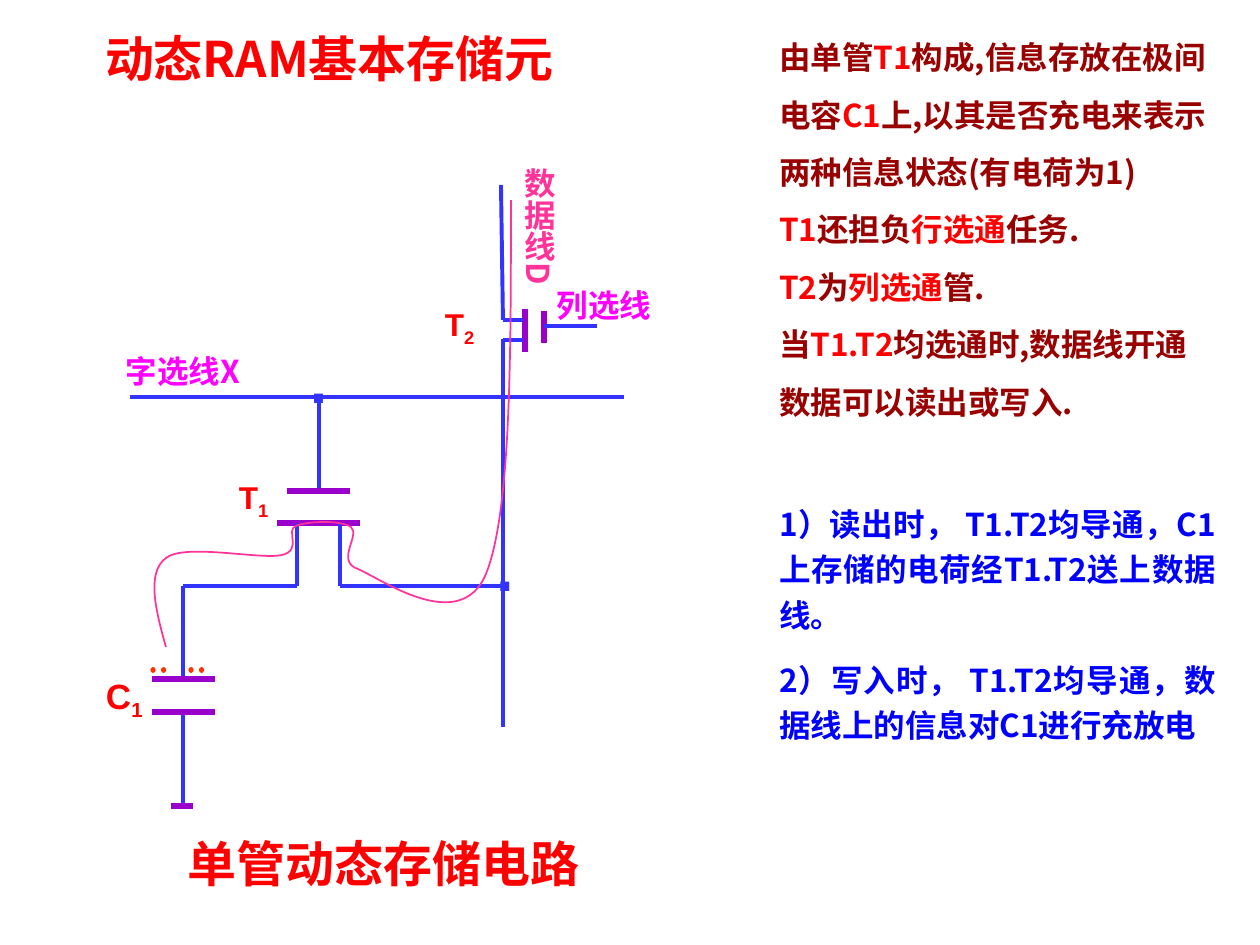
from dataclasses import dataclass

import lxml.etree
import pptx
import pptx.dml.color
import pptx.enum.dml
import pptx.enum.shapes
import pptx.enum.text
import pptx.oxml.ns
import pptx.util

SCALE = 914400 / 126


@dataclass(frozen=True)
class Theme:
    """Colours, fonts and type sizes of the slide."""
    red: str = "FF0000"
    maroon: str = "990000"
    blue: str = "0000FF"
    wire: str = "3333FF"
    plate: str = "9900CC"
    charge: str = "FF3300"
    magenta: str = "FF00FF"
    pink: str = "FF3399"
    latin: str = "Arial"
    chinese: str = "Noto Sans CJK SC"
    title: int = 28
    capacitor: int = 20
    body: int = 18
    node: int = 36
    thin: float = 1
    wire_width: float = 2.25
    plate_width: float = 3


@dataclass(frozen=True)
class Box:
    """A region in px."""
    left: int
    top: int
    width: int
    height: int

    def inner(self, left, top, width, height):
        """Return a box placed relative to this one."""
        return Box(self.left + left, self.top + top, width, height)

    def emu(self):
        """Return left, top, width and height in EMU."""
        return [px(value) for value in (self.left, self.top, self.width, self.height)]


THEME = Theme()


def px(value):
    """Turn px into EMU."""
    return pptx.util.Emu(round(value * SCALE))


def rgb(value):
    """Turn a hex string into a colour."""
    return pptx.dml.color.RGBColor.from_string(value)


def add_span(para, text, color, size=THEME.body, font=THEME.chinese, subscript=False):
    """Add one formatted run to a paragraph."""
    span = para.add_run()
    span.text = text
    span.font.name, span.font.size, span.font.bold = font, pptx.util.Pt(size), True
    span.font.color.rgb = rgb(color)
    properties = span.font._element
    east = lxml.etree.SubElement(properties, pptx.oxml.ns.qn("a:ea"))
    east.set("typeface", THEME.chinese)
    if subscript:
        properties.set("baseline", "-25000")


def prepare_frame(shape, indent=0):
    """Set wrapping, top anchor and left indent of a text shape."""
    frame = shape.text_frame
    frame.word_wrap = True
    frame.auto_size = pptx.enum.text.MSO_AUTO_SIZE.NONE
    frame.vertical_anchor = pptx.enum.text.MSO_ANCHOR.TOP
    frame.margin_left = px(13 + indent)
    return frame


def add_text(page, box, text, color, subscript="", indent=0, **style):
    """Add a one-paragraph text box, optionally with a subscript."""
    frame = prepare_frame(page.shapes.add_textbox(*box.emu()), indent)
    add_span(frame.paragraphs[0], text, color, **style)
    if subscript:
        add_span(frame.paragraphs[0], subscript, color, subscript=True, **style)
    return frame


def add_line(page, box, start, end, color=THEME.wire, width=THEME.wire_width):
    """Draw a straight line between two points of a box."""
    points = [px(value) for x, y in (start, end) for value in (box.left + x, box.top + y)]
    line = page.shapes.add_connector(pptx.enum.shapes.MSO_CONNECTOR.STRAIGHT, *points)
    line.line.color.rgb, line.line.width = rgb(color), pptx.util.Pt(width)
    lxml.etree.SubElement(line._element.spPr, pptx.oxml.ns.qn("a:effectLst"))
    return line


def add_plate(page, box, start, end, color=THEME.plate):
    """Draw a thick electrode line."""
    return add_line(page, box, start, end, color, THEME.plate_width)


def draw_title(page, box):
    """Place the title."""
    title = page.shapes.title
    title.left, title.top, title.width, title.height = box.emu()
    para = prepare_frame(title).paragraphs[0]
    para.alignment = pptx.enum.text.PP_ALIGN.JUSTIFY
    para.line_spacing = 0.9
    add_span(para, "动态RAM基本存储元", THEME.red, THEME.title)


def draw_notes(page, box):
    """Write the explanation column."""
    plain, strong, step = THEME.maroon, THEME.red, THEME.blue
    paragraphs = [
        [("由单管", plain), ("T1", strong), ("构成,信息存放在极间", plain)],
        [("电容", plain), ("C1", strong), ("上,以其是否充电来表示", plain)],
        [("两种信息状态(有电荷为1)", plain)],
        [("T1", strong), ("还担负", plain), ("行选通", strong), ("任务.", plain)],
        [("T2", strong), ("为", plain), ("列选通", strong), ("管.", plain)],
        [("当", plain), ("T1.T2", strong), ("均选通时,数据线开通", plain)],
        [("数据可以读出或写入.", plain)],
        [("1）读出时， T1.T2均导通，C1上存储的电荷经T1.T2送上数据线。", step)],
        [("2）写入时， T1.T2均导通，数据线上的信息对C1进行充放电", step)],
    ]
    first_step = 7
    frame = prepare_frame(page.shapes.add_textbox(*box.emu()))
    for index, spans in enumerate(paragraphs):
        para = frame.add_paragraph() if index else frame.paragraphs[0]
        para.alignment = pptx.enum.text.PP_ALIGN.JUSTIFY
        if index:
            para.space_before = pptx.util.Pt(44 if index == first_step else 11.2)
        if index >= first_step:
            para.line_spacing = 1.2
        for text, color in spans:
            add_span(para, text, color)


def draw_column_transistor(page, box):
    """Draw T2 with the data line and the column select line."""
    add_text(page, box.inner(0, 114, 63, 55), "T", THEME.red, "2", font=THEME.latin)
    add_plate(page, box, (93, 124), (93, 167))
    add_plate(page, box, (112, 126), (112, 158))
    add_line(page, box, (71, 135), (69, 0))
    for y in (135, 155):
        add_line(page, box, (71, y), (91, y))
    add_line(page, box, (112, 141), (165, 141))
    add_line(page, box, (71, 154), (71, 542))
    add_text(page, box.inner(112, 95, 141, 50), "列选线", THEME.magenta, font=THEME.latin)
    frame = add_text(page, box.inner(69, -30, 63, 147), "数据线D", THEME.pink)
    frame.margin_left = frame.margin_right = px(6)
    frame.margin_top = frame.margin_bottom = px(13)
    frame._txBody.bodyPr.set("vert", "eaVert")


def draw_row_transistor(page, box):
    """Draw T1 with the word line and its two terminals."""
    add_text(page, box.inner(-17, -51, 179, 50), "字选线X", THEME.magenta)
    add_text(page, box.inner(96, 75, 78, 55), "T", THEME.red, "1", font=THEME.latin)
    add_line(page, box, (0, 0), (494, 0))
    add_line(page, box, (189, 0), (189, 94))
    add_plate(page, box, (157, 94), (220, 94))
    add_plate(page, box, (147, 126), (230, 126))
    for leg, end in ((167, 53), (210, 378)):
        add_line(page, box, (leg, 126), (leg, 189))
        add_line(page, box, (leg, 189), (end, 189))
    for left, top in ((353, 125), (167, -63)):
        node = box.inner(left, top, 95, 88)
        add_text(page, node, ".", THEME.wire, size=THEME.node, font=THEME.latin)


def draw_capacitor(page, box):
    """Draw C1 with its charges, leads and ground."""
    add_text(page, box.inner(-59, 82, 78, 60), "C", THEME.red, "1",
             size=THEME.capacitor, font=THEME.latin)
    for top in (0, 126):
        add_line(page, box, (31, top), (31, top + 94))
    for y in (93, 126):
        add_plate(page, box, (0, y), (63, y))
    add_plate(page, box, (19, 220), (41, 220))
    for x in (1, 39):
        charge = add_plate(page, box, (x, 84), (x + 21, 84), THEME.charge)
        charge.line.dash_style = pptx.enum.dml.MSO_LINE.ROUND_DOT
        charge.line._ln.set("cap", "rnd")


def draw_signal_path(page, box):
    """Draw the curve from the capacitor to the data line."""
    start = (20, 447)
    controls = [
        (10, 411), (0, 373), (20, 358), (39, 343), (115, 360), (136, 355),
        (157, 350), (139, 330), (150, 326), (161, 321), (195, 320), (205, 327),
        (215, 335), (189, 361), (212, 369), (234, 378), (314, 436), (340, 374),
        (365, 312), (365, 156), (365, 0)]
    builder = page.shapes.build_freeform(*start, scale=SCALE)
    builder.add_line_segments(controls, close=False)
    curve = builder.convert_to_shape(px(box.left), px(box.top))
    outline = curve._element.find(".//" + pptx.oxml.ns.qn("a:path"))
    steps = outline.findall(pptx.oxml.ns.qn("a:lnTo"))
    for index in range(0, len(steps), 3):
        bend = lxml.etree.SubElement(outline, pptx.oxml.ns.qn("a:cubicBezTo"))
        for step in steps[index:index + 3]:
            bend.append(step[0])
            outline.remove(step)
    curve.fill.background()
    curve.line.color.rgb, curve.line.width = rgb(THEME.pink), pptx.util.Pt(THEME.thin)
    curve.shadow.inherit = False


def main():
    """Build and save the deck."""
    deck = pptx.Presentation()
    deck.slide_width, deck.slide_height = px(1260), px(945)
    page = deck.slides.add_slide(deck.slide_layouts[5])
    draw_title(page, Box(92, 29, 580, 66))
    draw_notes(page, Box(766, 32, 462, 878))
    draw_column_transistor(page, Box(432, 185, 253, 542))
    draw_row_transistor(page, Box(130, 397, 494, 189))
    draw_capacitor(page, Box(152, 586, 63, 220))
    draw_signal_path(page, Box(146, 200, 365, 448))
    add_text(page, Box(112, 827, 504, 72), "单管动态存储电路", THEME.red,
             size=THEME.title, indent=63)
    deck.save("out.pptx")


if __name__ == "__main__":
    main()
